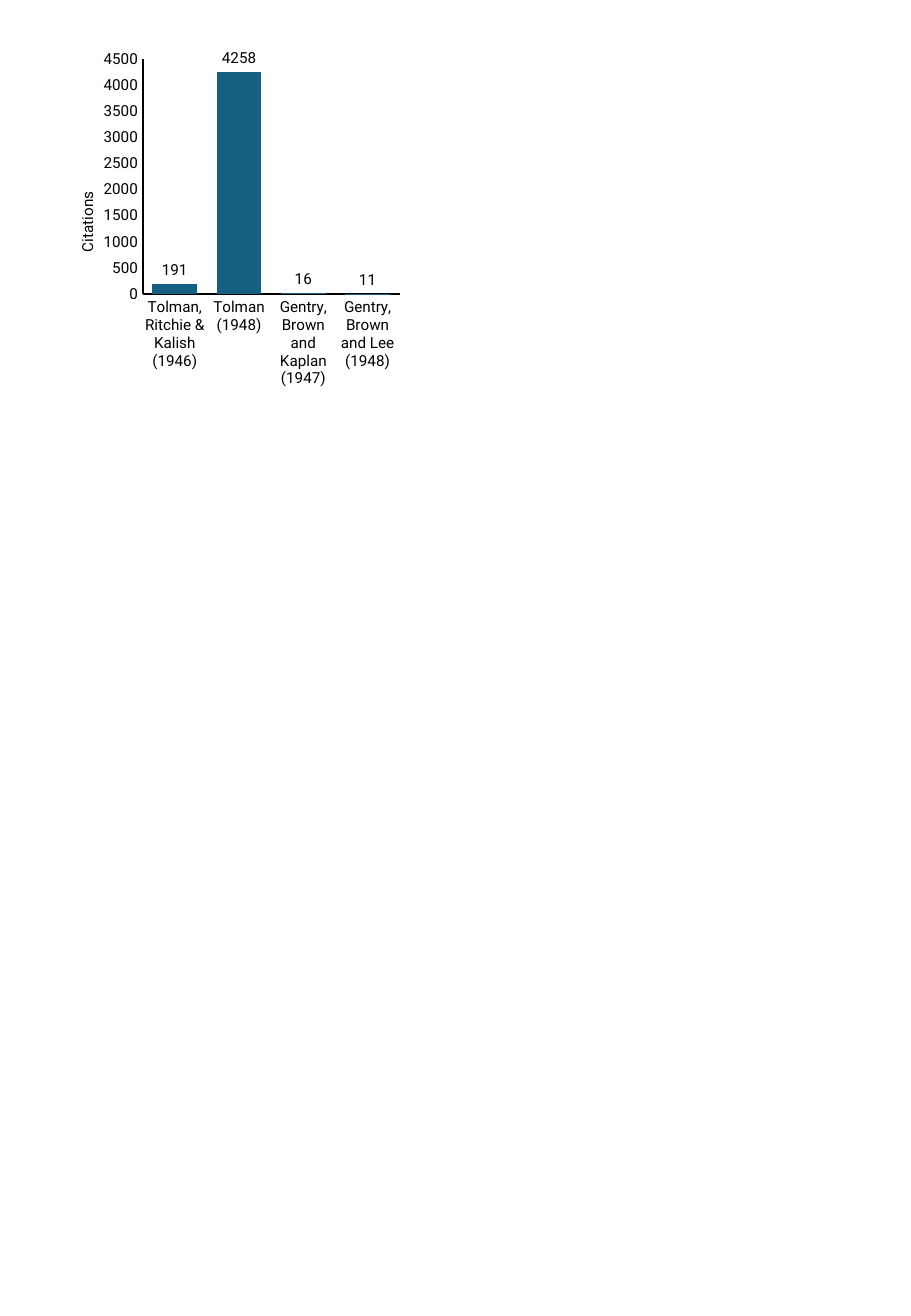
"""Builds a slide with a column chart of citation counts per paper."""
from lxml.etree import SubElement
from pptx import Presentation
from pptx.chart.data import CategoryChartData
from pptx.dml.color import RGBColor
from pptx.enum.chart import XL_CHART_TYPE as ChartType
from pptx.enum.chart import XL_LABEL_POSITION as LabelPosition
from pptx.enum.chart import XL_TICK_MARK as TickMark
from pptx.oxml.ns import qn
from pptx.util import Inches, Pt

CITATIONS = {
    "Tolman, Ritchie & Kalish (1946)": 191,
    "Tolman (1948)": 4258,
    "Gentry, Brown and Kaplan (1947)": 16,
    "Gentry, Brown and Lee (1948)": 11,
}
AXIS_TITLE = "Citations"
COLORS = {"ink": "000000", "bar": "156082"}
FONT = {"name": "Roboto", "size": Pt(9), "bold": False}
AXIS = {"major_tick_mark": TickMark.NONE, "minor_tick_mark": TickMark.NONE,
        "has_major_gridlines": False}
SCALE = {"minimum_scale": 0, "maximum_scale": 4500, "major_unit": 500}
BARS = {"gap_width": 44, "overlap": -9, "vary_by_categories": False}
LABELS = {"show_value": True, "position": LabelPosition.OUTSIDE_END}
CHART_BOX = (0.41, 0.37, 2.94, 2.89)
PLOT_LAYOUT = {"layoutTarget": "inner", "xMode": "edge", "yMode": "edge",
               "x": 0.26, "y": 0.04, "w": 0.72, "h": 0.67}
TITLE_LAYOUT = {"xMode": "edge", "yMode": "edge", "x": 0.07, "y": 0.41}


def color(name):
    return RGBColor.from_string(COLORS[name])


def apply(target, values):
    for key, value in values.items():
        setattr(target, key, value)


def style_font(font):
    apply(font, FONT)
    font.color.rgb = color("ink")


def place(element, index, values):
    for old in element.findall(qn("c:layout")):
        element.remove(old)
    layout = SubElement(element, qn("c:layout"))
    element.insert(index, layout)
    manual = SubElement(layout, qn("c:manualLayout"))
    for key, value in values.items():
        SubElement(manual, qn(f"c:{key}")).set("val", str(value))


def add_citation_chart(slide):
    data = CategoryChartData()
    data.categories = list(CITATIONS)
    data.add_series("Series 1", list(CITATIONS.values()))
    chart = slide.shapes.add_chart(
        ChartType.COLUMN_CLUSTERED, *map(Inches, CHART_BOX), data).chart
    apply(chart, {"has_title": False, "has_legend": False})
    style_font(chart.font)

    for axis in (chart.category_axis, chart.value_axis):
        apply(axis, AXIS)
        style_font(axis.tick_labels.font)
        axis.format.line.width = Pt(1.25)
        axis.format.line.color.rgb = color("ink")
    apply(chart.value_axis, SCALE)

    title = chart.value_axis.axis_title
    title.text_frame.text = AXIS_TITLE
    style_font(title.text_frame.paragraphs[0].runs[0].font)
    title.text_frame._txBody.bodyPr.set("rot", "-5400000")
    place(title._element, 1, TITLE_LAYOUT)

    plot = chart.plots[0]
    apply(plot, BARS)
    papers = plot.series[0]
    papers.format.fill.solid()
    papers.format.fill.fore_color.rgb = color("bar")
    apply(papers.data_labels, LABELS)
    style_font(papers.data_labels.font)
    place(chart._chartSpace.chart.plotArea, 0, PLOT_LAYOUT)


def main():
    deck = Presentation()
    apply(deck, {"slide_width": Inches(7.5), "slide_height": Inches(10.83)})
    add_citation_chart(deck.slides.add_slide(deck.slide_layouts[6]))
    deck.save("out.pptx")


if __name__ == "__main__":
    main()
